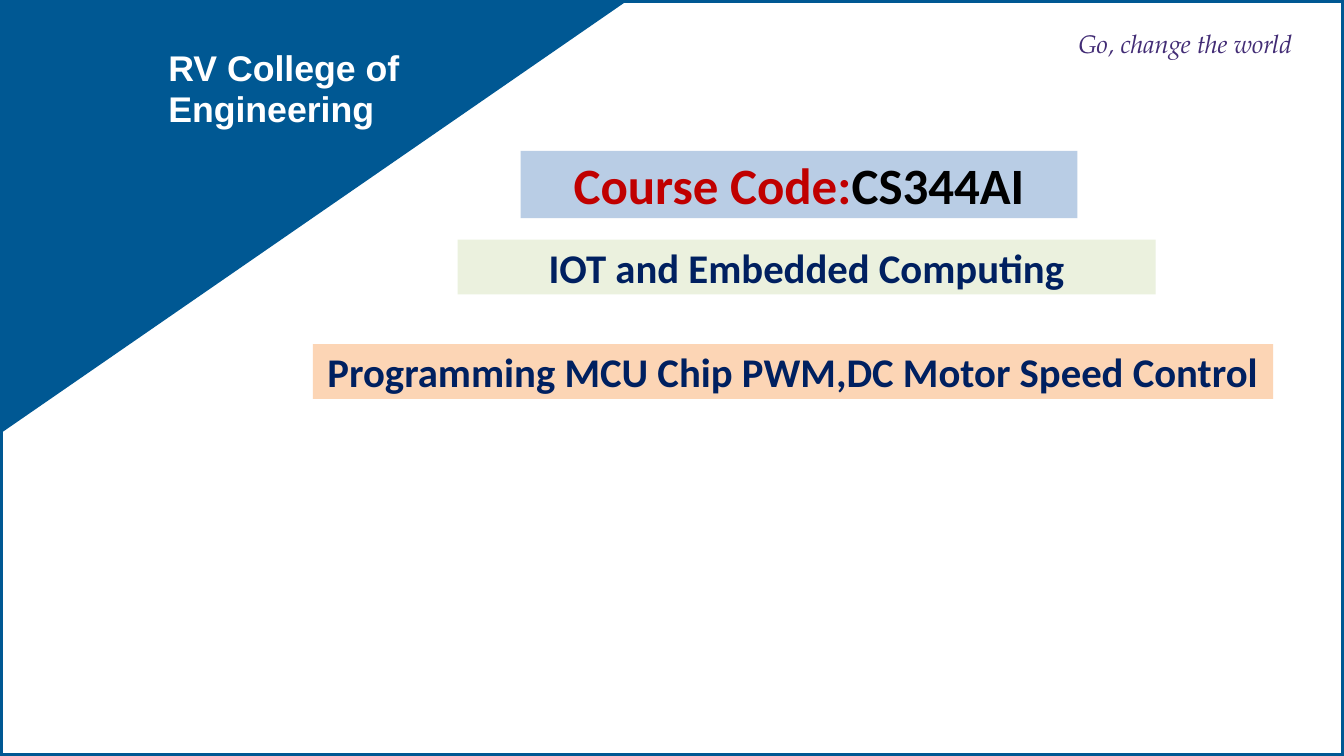
from dataclasses import dataclass

from pptx import Presentation
from pptx import util as u
from pptx.dml.color import RGBColor
from pptx.enum import shapes, text

WIDE, HIGH = 1583.28, 890.64


@dataclass(frozen=True)
class Theme:
    blue: str = "005893"
    white: str = "FFFFFF"
    black: str = "000000"
    plum: str = "422C75"
    navy: str = "002060"
    red: str = "C00000"
    sky: str = "B9CDE5"
    lime: str = "EBF1DE"
    peach: str = "FCD5B5"
    sans: str = "Arial"
    body: str = "Calibri"
    script: str = "TeX Gyre Pagella"
    code: int = 60
    topic: int = 48
    name: int = 42
    motto: int = 30


THEME = Theme()


def pts(*nums):
    return [u.Pt(num) for num in nums]


def paint(shape, fill, line=None, width=0):
    shape.shadow.inherit = False
    shape.fill.solid()
    shape.fill.fore_color.rgb = RGBColor.from_string(fill)
    if line:
        shape.line.color.rgb = RGBColor.from_string(line)
        shape.line.width = u.Pt(width)
    else:
        shape.line.fill.background()


def assign(item, values):
    for key, value in values.items():
        setattr(item, key, value)


def write(frame, lines, font, margins, para):
    """Fill a frame with lines, each a list of (words, colour) runs."""
    sides = ("margin_left", "margin_top", "margin_right", "margin_bottom")
    assign(frame, dict(zip(sides, pts(*margins)), word_wrap=True))
    for i, runs in enumerate(lines):
        part = frame.add_paragraph() if i else frame.paragraphs[0]
        assign(part, para)
        if i:
            part.space_before = u.Pt(1)
        for words, color in runs:
            run = part.add_run()
            run.text = words
            assign(run.font, font)
            run.font.color.rgb = RGBColor.from_string(color)


def label(slide, box, lines, font, para):
    frame = slide.shapes.add_textbox(*pts(*box)).text_frame
    write(frame, lines, font, (1, 1, 0, 0), para)


def border(slide, box):
    """Draw the framed page with its blue corner."""
    left, top, width, height = box
    page = slide.shapes.add_shape(shapes.MSO_SHAPE.RECTANGLE, *pts(*box))
    paint(page, THEME.white, THEME.blue, 6)
    top += 1.5
    build = slide.shapes.build_freeform(*pts(left + 738, top))
    build.add_line_segments([pts(left, top), pts(left, top + 509.5)])
    paint(build.convert_to_shape(), THEME.blue)


def header(slide, box):
    left, top, width, height = box
    label(slide, (left + 197.3, top + 56.9, 300, 96),
          [[("RV College of", THEME.white)], [("Engineering", THEME.white)]],
          dict(name=THEME.sans, size=u.Pt(THEME.name), bold=True),
          dict(line_spacing=u.Pt(47)))
    label(slide, (left + width - 313.9, top + 32.4, 268, 73),
          [[("Go, change the world", THEME.plum)]],
          dict(name=THEME.script, size=u.Pt(THEME.motto), italic=True), {})


def banner(slide, box, fill, size, runs):
    shape = slide.shapes.add_shape(shapes.MSO_SHAPE.RECTANGLE, *pts(*box))
    paint(shape, fill)
    write(shape.text_frame, [runs],
          dict(name=THEME.body, size=u.Pt(size), bold=True),
          (7.2, 3.6, 7.2, 3.6), dict(alignment=text.PP_ALIGN.CENTER))


def course(slide, box):
    """Place the three course banners within the box."""
    left, top, width, height = box
    rows = [
        (244.8, 0, 655.9, 79.2, THEME.sky, THEME.code,
         [("Course Code:", THEME.red), ("CS344AI", THEME.black)]),
        (170.6, 104.4, 822.2, 64.8, THEME.lime, THEME.topic,
         [("IOT and Embedded Computing", THEME.navy)]),
        (0, 227.5, width, 64.8, THEME.peach, THEME.topic,
         [("Programming MCU Chip PWM,DC Motor Speed Control", THEME.navy)]),
    ]
    for x, y, wide, high, *rest in rows:
        banner(slide, (left + x, top + y, wide, high), *rest)


def main():
    deck = Presentation()
    deck.slide_width, deck.slide_height = pts(WIDE, HIGH)
    slide = deck.slides.add_slide(deck.slide_layouts[6])
    page = (0, 0, WIDE, HIGH)
    border(slide, page)
    header(slide, page)
    course(slide, (368.6, 177.8, 1131.1, 292.3))
    deck.save("out.pptx")


if __name__ == "__main__":
    main()
